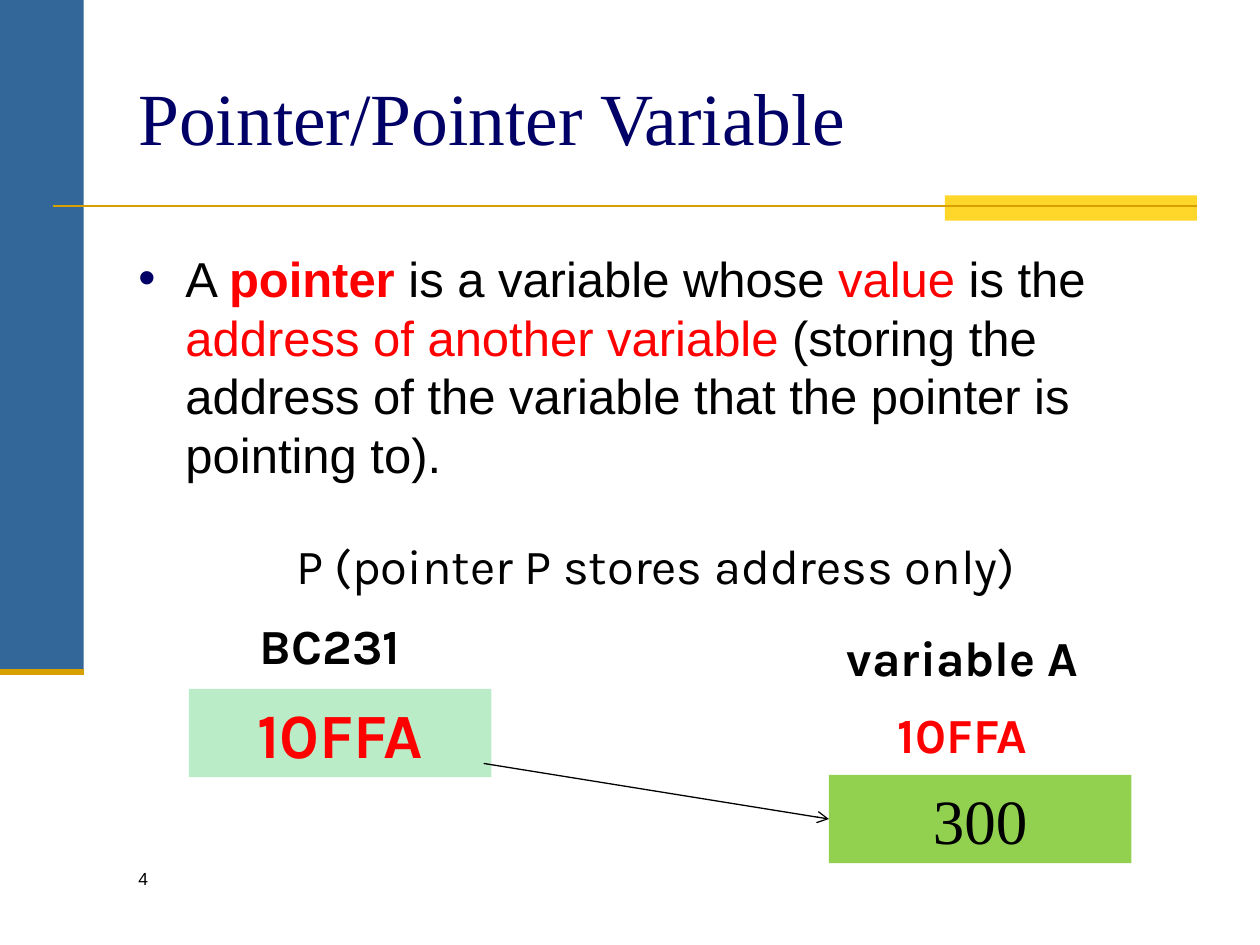
from lxml import etree
from pptx import Presentation
from pptx.dml.color import RGBColor
from pptx.enum import shapes, text
from pptx.oxml import ns
from pptx.util import Cm, Pt

BLUE = RGBColor(0x33, 0x66, 0x99)
YELLOW = RGBColor(0xFF, 0xD7, 0x2B)
GOLD = RGBColor(0xD8, 0x9F, 0x00)
NAVY = RGBColor(0x00, 0x00, 0x66)
MINT = RGBColor(0xBB, 0xEC, 0xC8)
GREEN = RGBColor(0x92, 0xD0, 0x50)
RED = RGBColor(0xFF, 0x00, 0x00)
BLACK = RGBColor(0x00, 0x00, 0x00)

CENTER = text.PP_ALIGN.CENTER
MIDDLE = text.MSO_ANCHOR.MIDDLE
TOP = text.MSO_ANCHOR.TOP
BODY = {"name": "Arial", "size": Pt(28)}
LABEL = {"name": "Karla", "size": Pt(28)}
BOLD_LABEL = LABEL | {"bold": True}
VALUE = {"size": Pt(36)}

DEFINITION = [
    ("A ", BLACK, False),
    ("pointer", RED, True),
    (" is a variable whose ", BLACK, False),
    ("value ", RED, False),
    ("is the ", BLACK, False),
    ("address of another variable ", RED, False),
    ("(storing the address of the variable that the pointer is pointing to).", BLACK, False),
]


def add_span(para, words, color, style):
    """Append a run with the given font values."""
    span = para.add_run()
    span.text = words
    for name, value in style.items():
        setattr(span.font, name, value)
    span.font.color.rgb = color


def write(box, words, color, style, align=None, anchor=TOP):
    """Put one line of text in a shape and return its paragraph."""
    frame = box.text_frame
    frame.word_wrap = True
    frame.vertical_anchor = anchor
    para = frame.paragraphs[0]
    para.alignment = align
    add_span(para, words, color, style)
    return para


def add_label(page, place, words, color, style, align=None, anchor=TOP):
    """Add a text box at a place given in centimetres."""
    box = page.shapes.add_textbox(*map(Cm, place))
    write(box, words, color, style, align, anchor)


def add_block(page, place, fill):
    """Add a plain filled rectangle."""
    block = page.shapes.add_shape(shapes.MSO_SHAPE.RECTANGLE, *map(Cm, place))
    block.shadow.inherit = False
    block.fill.solid()
    block.fill.fore_color.rgb = fill
    block.line.fill.background()
    return block


def add_line(page, ends, color, width, arrow=False):
    """Add a straight line, with an open arrowhead if asked."""
    line = page.shapes.add_connector(shapes.MSO_CONNECTOR.STRAIGHT, *map(Cm, ends))
    line.line.color.rgb = color
    line.line.width = Pt(width)
    if arrow:
        etree.SubElement(line.line._get_or_add_ln(), ns.qn("a:tailEnd"), type="arrow")
    etree.SubElement(line._element.spPr, ns.qn("a:effectLst"))


def add_definition(page, place):
    """Add the bulleted definition with its highlighted words."""
    box = page.shapes.add_textbox(*map(Cm, place))
    first, *rest = DEFINITION
    para = write(box, first[0], first[1], BODY)
    for words, color, bold in rest:
        add_span(para, words, color, BODY | {"bold": bold})
    para.space_before = Pt(7)
    props = para._p.get_or_add_pPr()
    props.set("marL", str(Cm(0.95)))
    props.set("indent", str(Cm(-0.95)))
    bullet_color = etree.SubElement(props, ns.qn("a:buClr"))
    etree.SubElement(bullet_color, ns.qn("a:srgbClr"), val=str(NAVY))
    etree.SubElement(props, ns.qn("a:buFont"), typeface="Arial")
    etree.SubElement(props, ns.qn("a:buChar"), char="•")


def add_frame(page):
    """Add the side bar, the title rule and its accent."""
    add_block(page, (0, 0, 1.69, 13.55), BLUE)
    add_block(page, (19.05, 3.94, 5.08, 0.51), YELLOW)
    add_line(page, (1.07, 4.15, 24.13, 4.15), GOLD, 1.5)
    add_line(page, (0, 13.55, 1.69, 13.55), GOLD, 3.5)


def add_diagram(page):
    """Add the pointer cell, the variable cell and the arrow between them."""
    add_label(page, (5.72, 10.67, 15.49, 1.45), "P (pointer P stores address only)", BLACK, LABEL)
    add_label(page, (4.65, 12.29, 4.01, 1.45), "BC231", BLACK, BOLD_LABEL, CENTER)
    add_label(page, (16.36, 12.52, 6.1, 1.45), "variable A", BLACK, BOLD_LABEL, CENTER)
    pointer = add_block(page, (3.81, 13.89, 6.1, 1.78), MINT)
    write(pointer, "10FFA", RED, VALUE | {"name": "Karla", "bold": True}, CENTER)
    variable = add_block(page, (16.71, 15.62, 6.1, 1.78), GREEN)
    write(variable, "300", BLACK, VALUE | {"name": "Times New Roman"}, CENTER)
    add_line(page, (9.75, 15.39, 16.71, 16.51), BLACK, 0.75, arrow=True)
    add_label(page, (17.6, 14.07, 3.61, 1.45), "10FFA", RED, BOLD_LABEL, CENTER)


def main():
    """Build the slide and save it."""
    deck = Presentation()
    deck.slide_width, deck.slide_height = Cm(25.4), Cm(19.05)
    page = deck.slides.add_slide(deck.slide_layouts[6])
    add_frame(page)
    title_style = {"name": "Times New Roman", "size": Pt(42)}
    add_label(page, (2.54, 0.76, 21.59, 3.18), "Pointer/Pointer Variable", NAVY, title_style, anchor=MIDDLE)
    add_label(page, (2.54, 17.37, 5.51, 1.27), "4", BLACK, {"name": "Arial", "size": Pt(10)})
    add_definition(page, (2.54, 4.88, 21.59, 11.94))
    add_diagram(page)
    deck.save("out.pptx")


if __name__ == "__main__":
    main()
